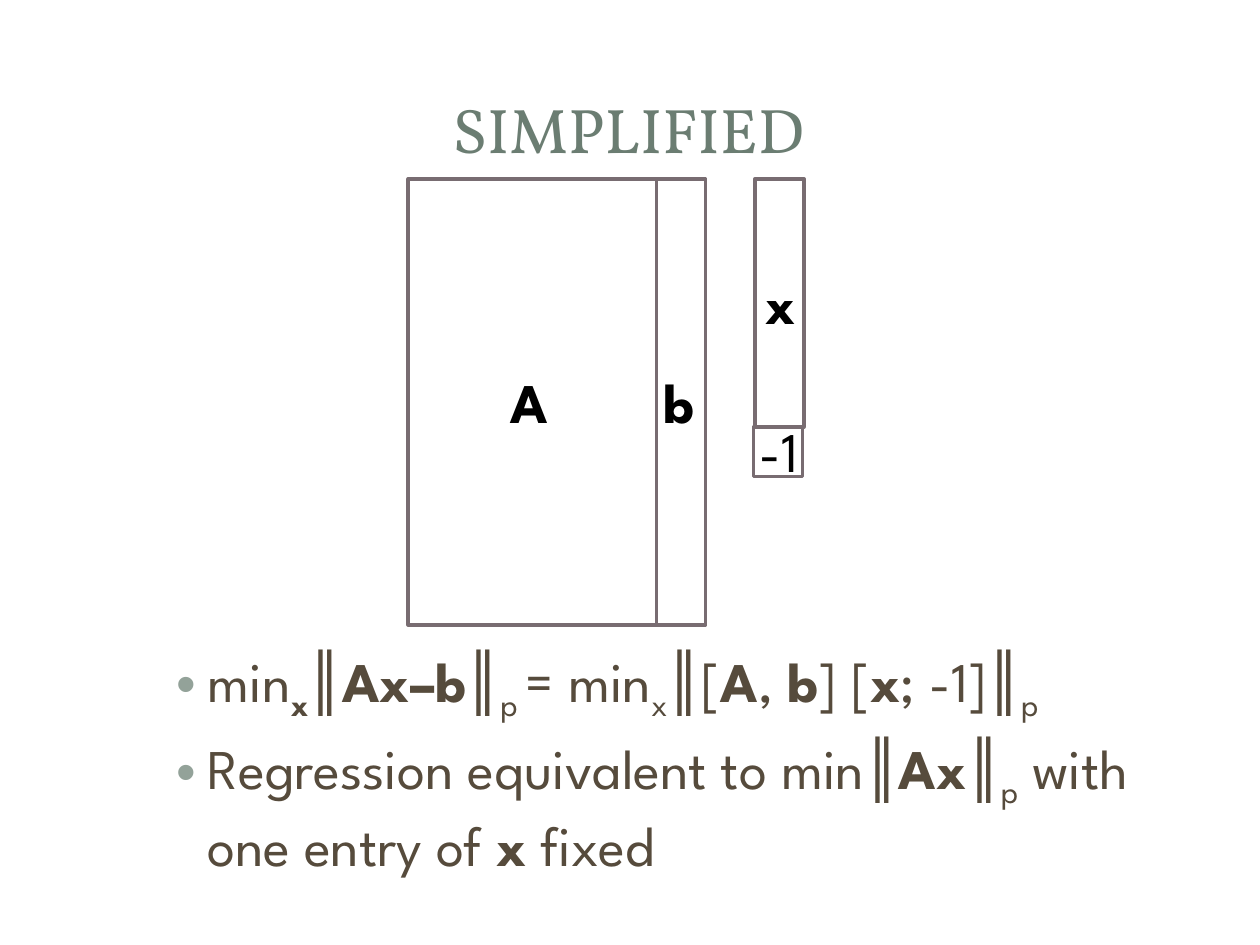
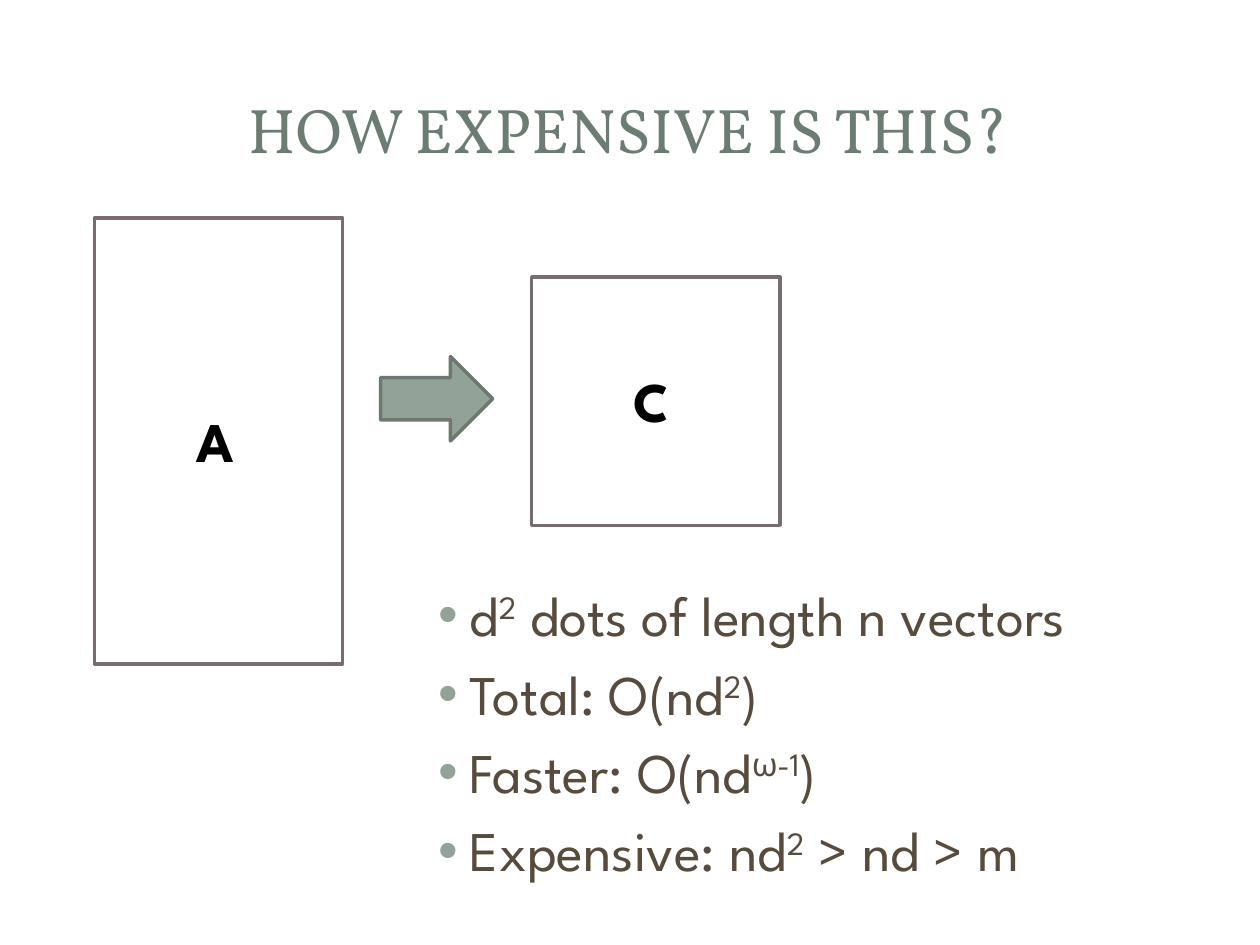
from dataclasses import dataclass

from lxml import etree
from pptx import Presentation, util as u
from pptx.dml import color
from pptx.enum import shapes, text
from pptx.oxml import ns


@dataclass(frozen=True)
class Theme:
    panel: str = "FFFFFF"
    title_color: str = "6B7D72"
    body_color: str = "564B3C"
    label_color: str = "000000"
    outline: str = "786C71"
    accent: str = "93A299"
    accent_dark: str = "6D7871"
    title_font: str = "Vollkorn"
    body_font: str = "League Spartan"
    title_size: int = 36
    body_size: int = 32
    line_width: int = 2


THEME = Theme()
NARROW, WIDE, TALL = 0.39, 1.97, 3.54
BOLD, SUB, SUPER = "bold", "sub", "super"
BASELINES = {SUB: "-25000", SUPER: "30000"}


def rgb(value):
    return color.RGBColor.from_string(value)


def box(left, top, width, height):
    return [u.Inches(length) for length in (left, top, width, height)]


def add_run(paragraph, content, font, size, font_color, styles=()):
    run = paragraph.add_run()
    run.text = content
    run.font.name = font
    run.font.size = u.Pt(size)
    run.font.color.rgb = rgb(font_color)
    run.font.bold = BOLD in styles
    for style in styles:
        if style in BASELINES:
            run.font._element.set("baseline", BASELINES[style])


def paint(shape, fill_color=None, line_color=None):
    if fill_color:
        shape.fill.solid()
        shape.fill.fore_color.rgb = rgb(fill_color)
    else:
        shape.fill.background()
    if line_color:
        shape.line.color.rgb = rgb(line_color)
        shape.line.width = u.Pt(THEME.line_width)
    else:
        shape.line.fill.background()


def add_preset(slide, kind, place, fill_color=None, line_color=None):
    shape = slide.shapes.add_shape(kind, *box(*place))
    shape.shadow.inherit = False
    paint(shape, fill_color, line_color)
    return shape


def add_matrix(slide, *place):
    add_preset(slide, shapes.MSO_SHAPE.RECTANGLE, place, line_color=THEME.outline)


def move_to_layout(shape, layout, position):
    layout.shapes._spTree.insert(position + 2, shape._element)


def add_layout_panels(slide):
    frame = add_preset(slide, shapes.MSO_SHAPE.ROUNDED_RECTANGLE,
                       (0.1, 0.11, 9.8, 7.29), THEME.panel)
    frame.adjustments[0] = 0.017
    band = add_preset(slide, shapes.MSO_SHAPE.RECTANGLE, (0.3, 0.3, 9.4, 1.45), THEME.panel)
    band_color = band._element.spPr.find(".//" + ns.qn("a:srgbClr"))
    etree.SubElement(band_color, ns.qn("a:alpha"), val="83000")
    inner = add_preset(slide, shapes.MSO_SHAPE.RECTANGLE, (0.41, 0.41, 9.17, 1.22), THEME.panel)
    for position, panel in enumerate((frame, band, inner)):
        move_to_layout(panel, slide.slide_layout, position)


def add_titled_slide(presentation, heading):
    slide = presentation.slides.add_slide(presentation.slide_layouts[5])
    title = slide.shapes.title
    title.left, title.top, title.width, title.height = box(0.47, 0.45, 9.03, 1.14)
    frame = title.text_frame
    frame.auto_size = text.MSO_AUTO_SIZE.NONE
    frame.vertical_anchor = text.MSO_ANCHOR.MIDDLE
    paragraph = frame.paragraphs[0]
    paragraph.alignment = text.PP_ALIGN.CENTER
    add_run(paragraph, heading, THEME.title_font, THEME.title_size, THEME.title_color)
    return slide


def set_bullet(paragraph):
    properties = paragraph._p.get_or_add_pPr()
    properties.set("marL", str(u.Inches(0.38)))
    properties.set("indent", str(u.Inches(-0.25)))
    bullet_color = etree.SubElement(properties, ns.qn("a:buClr"))
    etree.SubElement(bullet_color, ns.qn("a:srgbClr"), val=THEME.accent)
    etree.SubElement(properties, ns.qn("a:buFont"), typeface="Arial")
    etree.SubElement(properties, ns.qn("a:buChar"), char="•")


def add_bullets(slide, place, items):
    shape = slide.shapes.add_textbox(*box(*place))
    frame = shape.text_frame
    frame.word_wrap = True
    for index, item in enumerate(items):
        paragraph = frame.add_paragraph() if index else frame.paragraphs[0]
        paragraph.space_before = u.Pt(0.2 * THEME.body_size)
        set_bullet(paragraph)
        for content, *styles in item:
            add_run(paragraph, content, THEME.body_font, THEME.body_size,
                    THEME.body_color, styles)
    return shape


def add_label(slide, place, content, *styles):
    left, top, width = place
    frame = slide.shapes.add_textbox(*box(left, top, width, 0.64)).text_frame
    frame.word_wrap = False
    add_run(frame.paragraphs[0], content, THEME.body_font, THEME.body_size,
            THEME.label_color, styles)


def build_simplified(presentation):
    slide = add_titled_slide(presentation, "SIMPLIFIED")
    add_layout_panels(slide)
    add_bullets(slide, (1.17, 5.08, 8.39, 1.83), [
        [("min",), ("x", BOLD, SUB), ("║",), ("Ax–b", BOLD), ("║",), ("p ", SUB),
         ("= min",), ("x", SUB), ("║[",), ("A", BOLD), (", ",), ("b", BOLD),
         ("] [",), ("x", BOLD), ("; -1]║",), ("p", SUB)],
        [("Regression equivalent to min║",), ("Ax", BOLD), ("║",), ("p", SUB),
         (" with one entry of ",), ("x", BOLD), (" fixed",)],
    ])
    left, top, vector_left = 3.24, 1.42, 5.98
    add_matrix(slide, left, top, WIDE, TALL)
    add_matrix(slide, left + WIDE, top, NARROW, TALL)
    add_matrix(slide, vector_left + 0.01, top, NARROW, WIDE)
    add_matrix(slide, vector_left, top + WIDE, NARROW, NARROW)
    add_label(slide, (3.95, 2.87, 0.54), "A", BOLD)
    add_label(slide, (5.17, 2.87, 0.39), "b", BOLD)
    add_label(slide, (vector_left, 2.08, 0.39), "x", BOLD)
    add_label(slide, (5.93, 3.26, 0.65), "-1")


def build_cost(presentation):
    slide = add_titled_slide(presentation, "HOW EXPENSIVE IS THIS?")
    costs = add_bullets(slide, (3.25, 4.56, 6.5, 2.5), [
        [("d",), ("2", SUPER), (" dots of length n vectors",)],
        [("Total: O(nd",), ("2", SUPER), (")",)],
        [("Faster: O(nd",), ("ω-1", SUPER), (")",)],
        [("Expensive: nd",), ("2", SUPER), (" > nd > m",)],
    ])
    paint(costs, THEME.panel, THEME.panel)
    add_preset(slide, shapes.MSO_SHAPE.RIGHT_ARROW, (3.02, 2.83, 0.89, 0.67),
               THEME.accent, THEME.accent_dark)
    add_label(slide, (1.46, 3.18, 0.54), "A", BOLD)
    add_matrix(slide, 0.75, 1.73, WIDE, TALL)
    add_matrix(slide, 4.22, 2.2, WIDE, WIDE)
    add_label(slide, (4.93, 2.86, 0.54), "C", BOLD)


def main():
    presentation = Presentation()
    presentation.slide_width = u.Inches(10)
    presentation.slide_height = u.Inches(7.5)
    build_simplified(presentation)
    build_cost(presentation)
    presentation.save("out.pptx")


main()
